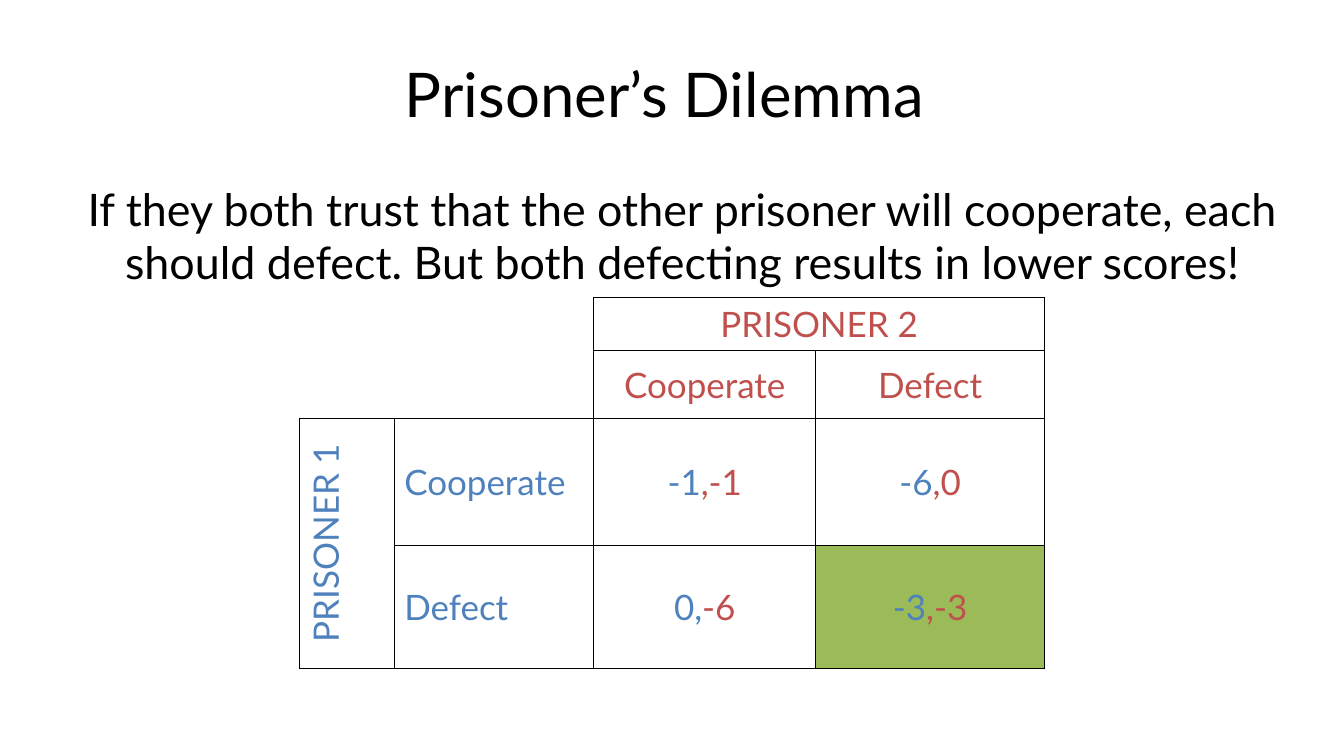
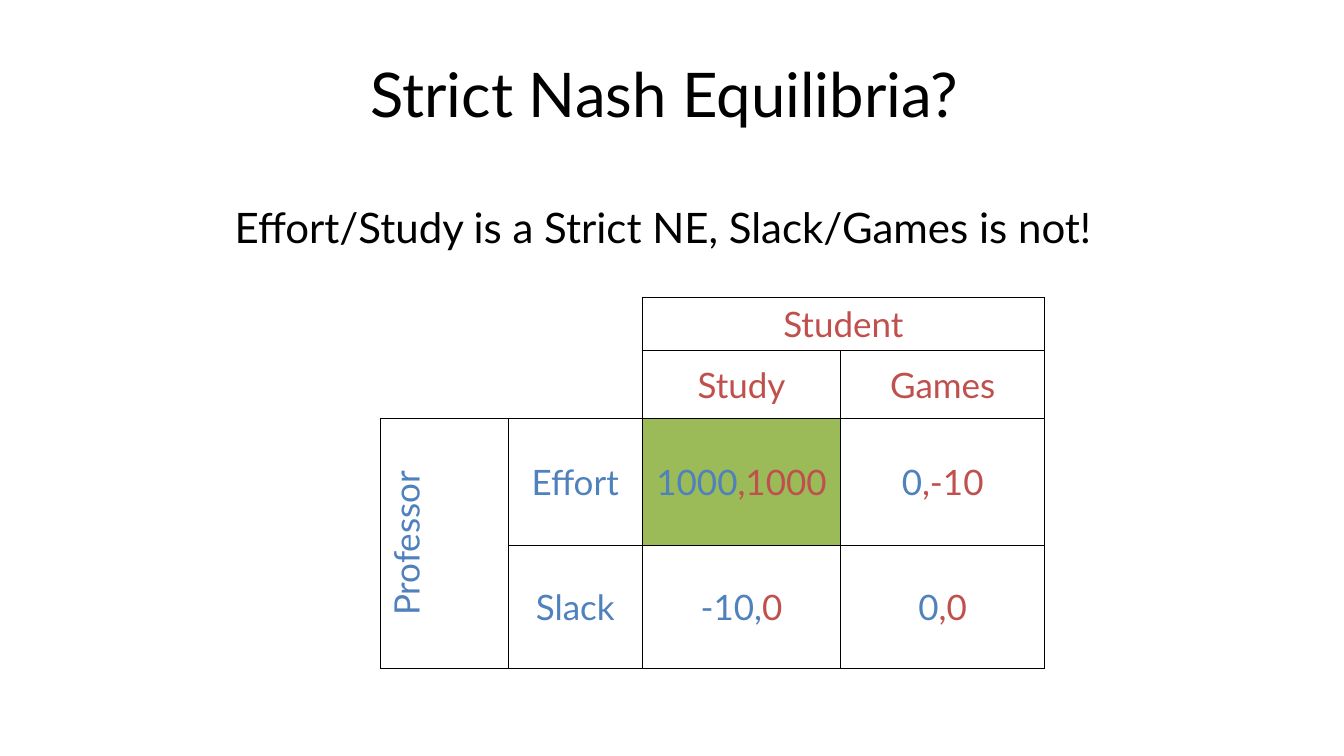
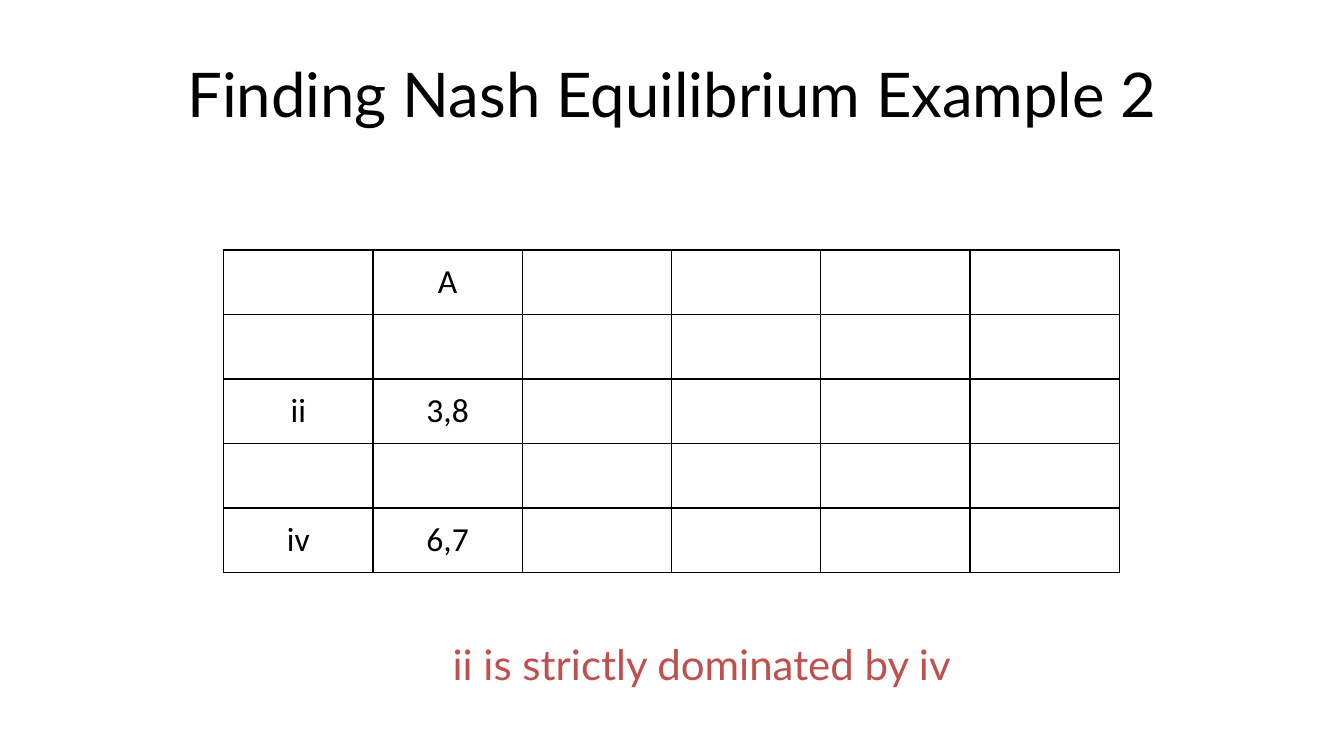
from dataclasses import dataclass

import pptx
import pptx.dml.color
import pptx.enum.text
import pptx.oxml
import pptx.oxml.ns
import pptx.presentation
import pptx.shapes.autoshape
import pptx.slide
import pptx.table
import pptx.text.text
import pptx.util
from pptx.util import Inches

COLOURS = {
    "text": "000000",
    "border": "000000",
    "row_player": "4F81BD",
    "column_player": "C0504D",
    "equilibrium": "9BBB59",
}
HEADING_FONT = "Lato"
GRID_FONT = "Calibri"
NO_GRID_STYLE = "{2D5ABB26-0587-4C30-8999-92F81FD0307C}"
ALL_SIDES = "LRTB"
CENTER = pptx.enum.text.PP_ALIGN.CENTER
LEFT = pptx.enum.text.PP_ALIGN.LEFT
MIDDLE = pptx.enum.text.MSO_ANCHOR.MIDDLE


@dataclass(frozen=True)
class TextStyle:
    size: float
    colour: str = "text"
    font: str = HEADING_FONT
    alignment: pptx.enum.text.PP_ALIGN = CENTER


@dataclass(frozen=True)
class Payoff:
    row_part: str
    column_part: str
    equilibrium: bool = False


@dataclass(frozen=True)
class Game:
    left: float
    widths: tuple[float, ...]
    row_player: str
    column_player: str
    row_moves: tuple[str, str]
    column_moves: tuple[str, str]
    payoffs: tuple[tuple[Payoff, Payoff], tuple[Payoff, Payoff]]
    move_alignment: pptx.enum.text.PP_ALIGN = CENTER


TITLE = TextStyle(44)
BODY = TextStyle(32)
REMARK = TextStyle(30, alignment=LEFT)
ROW_LABEL = TextStyle(25, "row_player")
COLUMN_LABEL = TextStyle(25, "column_player")
GRID_LABEL = TextStyle(24, font=GRID_FONT)

GAME_TOP = 2.95
GAME_HEIGHTS = (0.53, 0.67, 1.26, 1.22)

PRISONERS = Game(
    2.97, (0.94, 1.98, 2.2, 2.27), "PRISONER 1", "PRISONER 2",
    ("Cooperate", "Defect"), ("Cooperate", "Defect"),
    ((Payoff("-1", ",-1"), Payoff("-6", ",0")),
     (Payoff("0,", "-6"), Payoff("-3", ",-3", True))),
    LEFT,
)
CLASSROOM = Game(
    3.77, (1.27, 1.33, 1.97, 2.02), "Professor", "Student",
    ("Effort", "Slack"), ("Study", "Games"),
    ((Payoff("1000", ",1000", True), Payoff("0", ",-10")),
     (Payoff("-10,", "0"), Payoff("0", ",0"))),
)


def add_run(paragraph: pptx.text.text._Paragraph, text: str, style: TextStyle) -> None:
    paragraph.alignment = style.alignment
    run = paragraph.add_run()
    run.text = text
    run.font.name = style.font
    run.font.size = pptx.util.Pt(style.size)
    run.font.color.rgb = pptx.dml.color.RGBColor.from_string(COLOURS[style.colour])


def add_titled_slide(presentation: pptx.presentation.Presentation, text: str) -> pptx.slide.Slide:
    slide = presentation.slides.add_slide(presentation.slide_layouts[5])
    title = slide.shapes.title
    title.left, title.top = Inches(0.67), Inches(0.3)
    title.width, title.height = Inches(12), Inches(1.25)
    title.text_frame.vertical_anchor = MIDDLE
    add_run(title.text_frame.paragraphs[0], text, TITLE)
    return slide


def add_text(slide: pptx.slide.Slide, left: float, top: float, width: float,
             height: float, text: str, style: TextStyle) -> None:
    shape = slide.shapes.add_textbox(Inches(left), Inches(top), Inches(width), Inches(height))
    shape.text_frame.word_wrap = True
    add_run(shape.text_frame.paragraphs[0], text, style)


def set_borders(cell: pptx.table._Cell, sides: str) -> None:
    properties = cell._tc.get_or_add_tcPr()
    for side in sides:
        properties.append(pptx.oxml.parse_xml(
            f'<a:ln{side} {pptx.oxml.ns.nsdecls("a")} w="12700"><a:solidFill>'
            f'<a:srgbClr val="{COLOURS["border"]}"/></a:solidFill></a:ln{side}>'
        ))


def add_plain_table(slide: pptx.slide.Slide, left: float, top: float,
                    widths: tuple[float, ...], heights: tuple[float, ...],
                    open_corner: int = 0) -> pptx.table.Table:
    frame = slide.shapes.add_table(
        len(heights), len(widths), Inches(left), Inches(top),
        Inches(sum(widths)), Inches(sum(heights)),
    )
    table = frame.table
    table.first_row = table.horz_banding = False
    for style_id in frame._element.iter(pptx.oxml.ns.qn("a:tableStyleId")):
        style_id.text = NO_GRID_STYLE
    for column, width in zip(table.columns, widths):
        column.width = Inches(width)
    for row, height in zip(table.rows, heights):
        row.height = Inches(height)
    for row in range(len(heights)):
        for column in range(len(widths)):
            cell = table.cell(row, column)
            if max(row, column) >= open_corner:
                set_borders(cell, ALL_SIDES)
            elif row == column == 0:
                set_borders(cell, "RB")
            cell.fill.background()
            cell.vertical_anchor = MIDDLE
    return table


def add_cell_text(cell: pptx.table._Cell, text: str, style: TextStyle) -> None:
    add_run(cell.text_frame.paragraphs[0], text, style)


def add_game(slide: pptx.slide.Slide, game: Game) -> None:
    table = add_plain_table(slide, game.left, GAME_TOP, game.widths, GAME_HEIGHTS, 2)
    table.cell(0, 0).merge(table.cell(1, 1))
    table.cell(0, 2).merge(table.cell(0, 3))
    table.cell(2, 0).merge(table.cell(3, 0))
    add_cell_text(table.cell(0, 2), game.column_player, COLUMN_LABEL)
    row_player_cell = table.cell(2, 0)
    row_player_cell._tc.get_or_add_tcPr().set("vert", "vert270")
    add_cell_text(row_player_cell, game.row_player, ROW_LABEL)
    move_label = TextStyle(25, "row_player", alignment=game.move_alignment)
    for index in range(2):
        add_cell_text(table.cell(1, index + 2), game.column_moves[index], COLUMN_LABEL)
        add_cell_text(table.cell(index + 2, 1), game.row_moves[index], move_label)
    for row, payoffs in enumerate(game.payoffs, 2):
        for column, payoff in enumerate(payoffs, 2):
            cell = table.cell(row, column)
            add_cell_text(cell, payoff.row_part, ROW_LABEL)
            add_cell_text(cell, payoff.column_part, COLUMN_LABEL)
            if payoff.equilibrium:
                cell.fill.solid()
                cell.fill.fore_color.rgb = pptx.dml.color.RGBColor.from_string(
                    COLOURS["equilibrium"])


def build_prisoners(presentation: pptx.presentation.Presentation) -> None:
    slide = add_titled_slide(presentation, "Prisoner’s Dilemma ")
    add_game(slide, PRISONERS)
    add_text(slide, 0.67, 1.75, 12.2, 1.2,
             "If they both trust that the other prisoner will cooperate, each should "
             "defect. But both defecting results in lower scores!", BODY)


def build_classroom(presentation: pptx.presentation.Presentation) -> None:
    slide = add_titled_slide(presentation, "Strict Nash Equilibria? ")
    add_text(slide, 2.23, 1.95, 8.87, 0.61,
             "Effort/Study is a Strict NE, Slack/Games is not!", REMARK)
    add_game(slide, CLASSROOM)


def build_dominance(presentation: pptx.presentation.Presentation) -> None:
    slide = add_titled_slide(presentation, "Finding Nash Equilibrium Example 2")
    table = add_plain_table(slide, 2.22, 2.48, (1.48,) * 6, (0.64,) * 5)
    labels = {(0, 1): "A", (2, 0): "ii", (2, 1): "3,8", (4, 0): "iv", (4, 1): "6,7"}
    for (row, column), text in labels.items():
        add_cell_text(table.cell(row, column), text, GRID_LABEL)
    add_text(slide, 4.39, 6.29, 5.28, 0.61, "ii is strictly dominated by iv",
             TextStyle(30, "column_player", alignment=LEFT))


def main() -> None:
    presentation = pptx.Presentation()
    presentation.slide_width, presentation.slide_height = Inches(13.33), Inches(7.5)
    build_prisoners(presentation)
    build_classroom(presentation)
    build_dominance(presentation)
    presentation.save("out.pptx")


if __name__ == "__main__":
    main()
